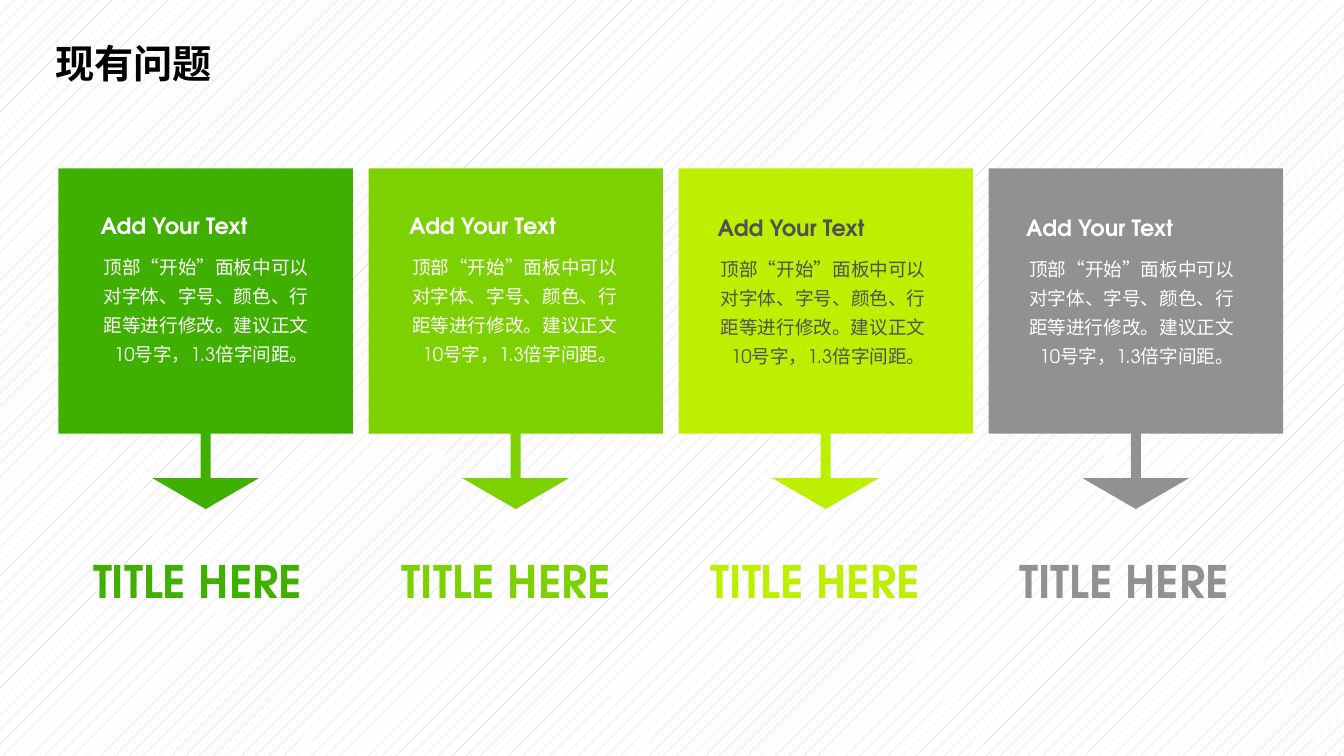
from lxml.etree import SubElement
from pptx import Presentation
from pptx.dml.color import RGBColor
from pptx.enum.dml import MSO_PATTERN
from pptx.enum.lang import MSO_LANGUAGE_ID
from pptx.enum.shapes import MSO_SHAPE
from pptx.enum.text import MSO_ANCHOR, MSO_AUTO_SIZE, PP_ALIGN
from pptx.oxml.ns import qn
from pptx.util import Inches, Pt

# Content
HEADING = "现有问题"
BODY = "顶部“开始”面板中可以对字体、字号、颜色、行距等进行修改。建议正文10号字，1.3倍字间距。"
SUBTITLE = "Add Your Text"
TITLE = "TITLE HERE"
# Each column: fill colour, text colour, text group top
COLUMNS = [
    ("green", "white", 2.06),
    ("lime", "white", 2.06),
    ("yellow", "dark", 2.08),
    ("gray", "white", 2.08),
]
COLORS = {
    "green": "3FAF00", "lime": "7ED100", "yellow": "BCEF00", "gray": "919191",
    "white": "FFFFFF", "dark": "515151", "black": "000000", "stripe": "CACACA",
}
LATIN_FONT = "TeX Gyre Adventor"
CHINESE_FONT = "Noto Sans CJK SC"
CALLOUT_ADJUSTMENTS = (0.034, 0.181, 0.105, 0.779)

# Text formats
STYLES = {
    "heading": {
        "font": {"size": Pt(28), "bold": True, "name": CHINESE_FONT},
        "paragraph": {"line_spacing": 0.9},
        "frame": {"word_wrap": True, "vertical_anchor": MSO_ANCHOR.MIDDLE},
    },
    "body": {
        "font": {"size": Pt(13.3), "name": LATIN_FONT},
        "paragraph": {"alignment": PP_ALIGN.RIGHT, "line_spacing": 1.3},
        "frame": {"word_wrap": True, "auto_size": MSO_AUTO_SIZE.SHAPE_TO_FIT_TEXT},
    },
    "subtitle": {
        "font": {"size": Pt(16), "bold": True, "name": LATIN_FONT},
        "paragraph": {"alignment": PP_ALIGN.LEFT},
        "frame": {"word_wrap": False, "auto_size": MSO_AUTO_SIZE.SHAPE_TO_FIT_TEXT},
    },
    "title": {
        "font": {"size": Pt(32), "bold": True, "name": LATIN_FONT},
        "paragraph": {"alignment": PP_ALIGN.CENTER},
        "frame": {"word_wrap": False, "auto_size": MSO_AUTO_SIZE.SHAPE_TO_FIT_TEXT},
    },
}


def color(name):
    return RGBColor.from_string(COLORS[name])


def apply(target, values):
    for name, value in values.items():
        setattr(target, name, value)


def add_text(slide, text, style, color_name, left, top, width, height):
    box = slide.shapes.add_textbox(Inches(left), Inches(top), Inches(width), Inches(height))
    frame = box.text_frame
    paragraph = frame.paragraphs[0]
    run = paragraph.add_run()
    run.text = text
    apply(frame, STYLES[style]["frame"])
    apply(paragraph, STYLES[style]["paragraph"])
    apply(run.font, STYLES[style]["font"])
    run.font.color.rgb = color(color_name)
    run.font.language_id = MSO_LANGUAGE_ID.SIMPLIFIED_CHINESE
    # East Asian typeface
    SubElement(run._r.get_or_add_rPr(), qn("a:ea"), typeface=CHINESE_FONT)


def add_callout(slide, color_name, left):
    callout = slide.shapes.add_shape(
        MSO_SHAPE.DOWN_ARROW_CALLOUT, Inches(left), Inches(1.67), Inches(2.92), Inches(3.38))
    for index, value in enumerate(CALLOUT_ADJUSTMENTS):
        callout.adjustments[index] = value
    callout.fill.solid()
    callout.fill.fore_color.rgb = color(color_name)
    callout.line.fill.background()
    callout.shadow.inherit = False


def main():
    presentation = Presentation()
    presentation.slide_width = Inches(13.33)
    presentation.slide_height = Inches(7.5)
    slide = presentation.slides.add_slide(presentation.slide_layouts[6])

    # Patterned background
    fill = slide.background.fill
    fill.patterned()
    fill.pattern = MSO_PATTERN.PERCENT_5
    fill.fore_color.rgb = color("stripe")
    fill.back_color.rgb = color("white")

    add_text(slide, HEADING, "heading", "black", 0.45, 0.28, 3.36, 0.75)

    # Four callouts with their text and titles
    for index, (fill_name, text_name, top) in enumerate(COLUMNS):
        text_left = 0.76 + index * 3.06
        add_callout(slide, fill_name, 0.58 + index * 3.075)
        add_text(slide, BODY, "body", text_name, text_left, top + 0.36, 2.4, 1.27)
        add_text(slide, SUBTITLE, "subtitle", text_name, text_left + 0.14, top, 1.71, 0.37)
        add_text(slide, TITLE, "title", fill_name, 0.81 + index * 3.063, 5.44, 2.3, 0.64)

    presentation.save("out.pptx")


if __name__ == "__main__":
    main()
